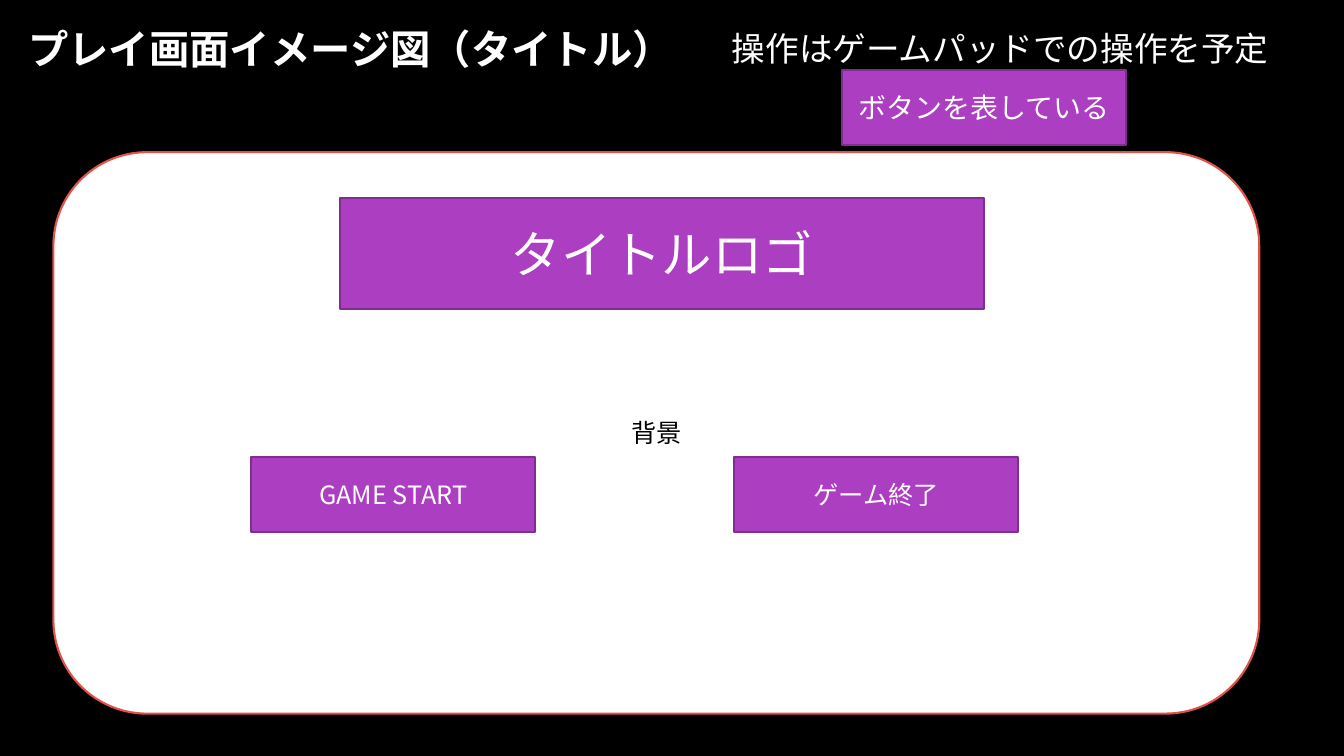
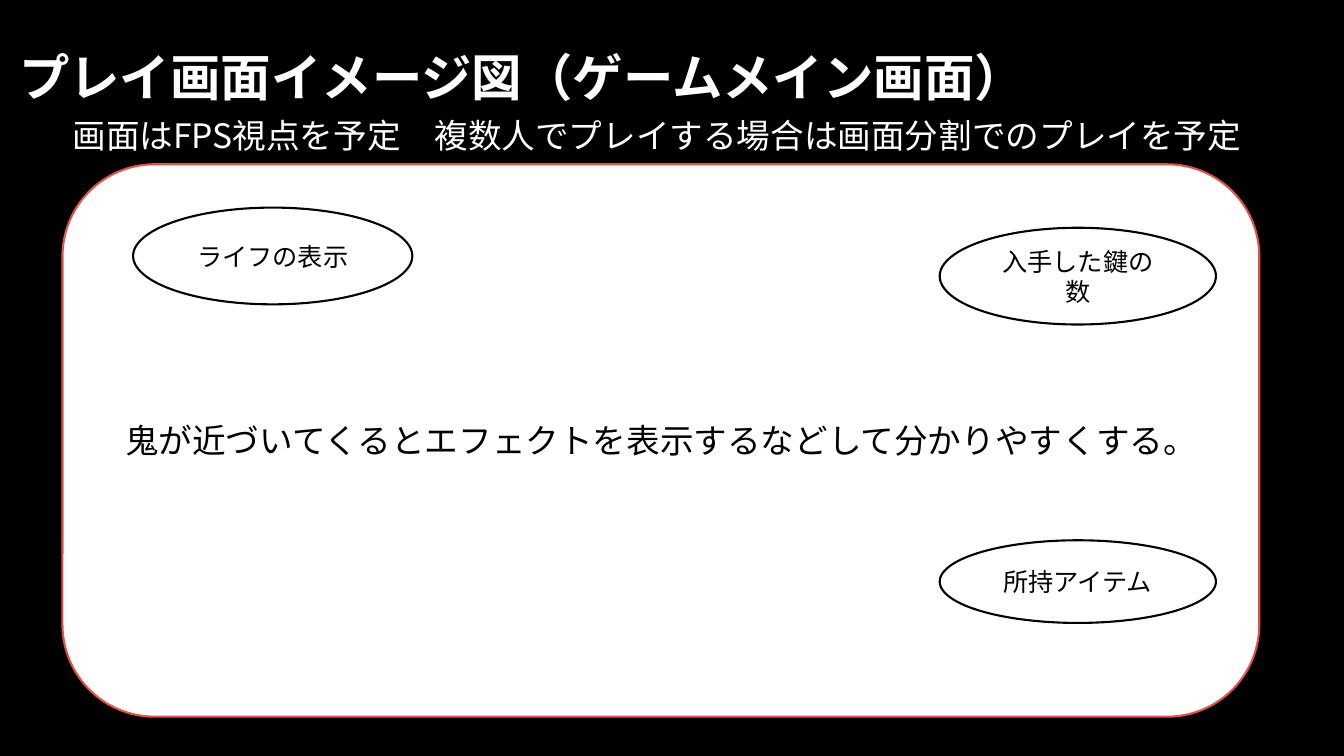
from dataclasses import dataclass

from lxml import etree
from pptx import Presentation
from pptx.dml.color import RGBColor
from pptx.enum.shapes import MSO_SHAPE
from pptx.enum.text import MSO_ANCHOR, MSO_AUTO_SIZE, PP_ALIGN
from pptx.oxml.ns import qn
from pptx.slide import Slide
from pptx.text.text import TextFrame
from pptx.util import Inches, Pt

RECT = MSO_SHAPE.RECTANGLE
ROUND_RECT = MSO_SHAPE.ROUNDED_RECTANGLE
ELLIPSE = MSO_SHAPE.OVAL
MIDDLE = MSO_ANCHOR.MIDDLE
TOP = MSO_ANCHOR.TOP
NO_FIT = MSO_AUTO_SIZE.NONE
GROW = MSO_AUTO_SIZE.SHAPE_TO_FIT_TEXT
LEFT = PP_ALIGN.LEFT
CENTER = PP_ALIGN.CENTER

BLACK = RGBColor(0x00, 0x00, 0x00)
WHITE = RGBColor(0xFF, 0xFF, 0xFF)
RED = RGBColor(0xE2, 0x52, 0x47)
PURPLE = RGBColor(0xAC, 0x3E, 0xC1)
DARK_PURPLE = RGBColor(0x7F, 0x2E, 0x8F)

JP_FONT = "Noto Sans CJK JP"
LATIN_FONT = "Calibri"
TITLE_ONLY = 5
BUTTON_W, BUTTON_H = 2.82, 0.75
BUTTON_ROW = 4.53
HUD_LEFT, HUD_W = 9.32, 2.74


@dataclass(frozen=True)
class Box:
    left: float
    top: float
    width: float
    height: float

    def lengths(self) -> tuple[Inches, Inches, Inches, Inches]:
        return (Inches(self.left), Inches(self.top),
                Inches(self.width), Inches(self.height))


@dataclass(frozen=True)
class Style:
    shape: MSO_SHAPE
    fill: RGBColor
    line: RGBColor
    color: RGBColor
    font: str = JP_FONT


@dataclass(frozen=True)
class Label:
    text: str
    box: Box
    size: float = 18


@dataclass(frozen=True)
class Widget:
    label: Label
    style: Style


@dataclass(frozen=True)
class Screen:
    title: Label
    note: Label
    widgets: list[Widget]


PANEL = Style(ROUND_RECT, WHITE, RED, BLACK)
PANEL_LATIN = Style(ROUND_RECT, WHITE, RED, BLACK, LATIN_FONT)
BUTTON = Style(RECT, PURPLE, DARK_PURPLE, WHITE)
HUD = Style(ELLIPSE, WHITE, BLACK, BLACK, LATIN_FONT)

SCREENS = [
    Screen(
        Label("プレイ画面イメージ図（タイトル）", Box(0.18, 0.16, 7.03, 0.64), 28.8),
        Label("操作はゲームパッドでの操作を予定", Box(7.16, 0.23, 5.59, 0.5), 24),
        [
            Widget(Label("背景", Box(0.53, 1.51, 11.96, 5.57)), PANEL_LATIN),
            Widget(Label("タイトルロゴ", Box(3.37, 1.96, 6.39, 1.11), 36), BUTTON),
            Widget(Label("GAME START", Box(2.49, BUTTON_ROW, BUTTON_W, BUTTON_H)), BUTTON),
            Widget(Label("ゲーム終了", Box(7.28, BUTTON_ROW, BUTTON_W, BUTTON_H)), BUTTON),
            Widget(Label("ボタンを表している", Box(8.35, 0.69, BUTTON_W, BUTTON_H), 20), BUTTON),
        ],
    ),
    Screen(
        Label("プレイ画面イメージ図（ゲームメイン画面）", Box(0.09, 0.17, 10.36, 1.17), 36),
        Label("画面はFPS視点を予定　複数人でプレイする場合は画面分割でのプレイを予定",
              Box(0.62, 1.09, 12.25, 0.5), 24),
        [
            Widget(Label("鬼が近づいてくるとエフェクトを表示するなどして分かりやすくする。",
                         Box(0.62, 1.63, 11.87, 5.48), 24), PANEL),
            Widget(Label("ライフの表示", Box(1.32, 2.06, 2.77, 0.96)), HUD),
            Widget(Label("入手した鍵の数", Box(HUD_LEFT, 2.26, HUD_W, 0.96)), HUD),
            Widget(Label("所持アイテム", Box(HUD_LEFT, 5.36, HUD_W, 0.82)), HUD),
        ],
    ),
]


def write(tf: TextFrame, label: Label, color: RGBColor, align: PP_ALIGN,
          anchor: MSO_ANCHOR = MIDDLE, font: str = JP_FONT, bold: bool = False) -> None:
    tf.vertical_anchor = anchor
    p = tf.paragraphs[0]
    p.alignment = align
    r = p.add_run()
    r.text = label.text
    r.font.size = Pt(label.size)
    r.font.bold = bold
    r.font.color.rgb = color
    r.font.name = font
    east_asian = etree.SubElement(r._r.get_or_add_rPr(), qn("a:ea"))
    east_asian.set("typeface", JP_FONT)


def add_title(s: Slide, label: Label) -> None:
    sp = s.shapes.title
    sp.left, sp.top, sp.width, sp.height = label.box.lengths()
    tf = sp.text_frame
    tf.word_wrap = True
    tf.auto_size = NO_FIT
    write(tf, label, WHITE, LEFT, bold=True)


def add_note(s: Slide, label: Label) -> None:
    tf = s.shapes.add_textbox(*label.box.lengths()).text_frame
    tf.word_wrap = False
    tf.auto_size = GROW
    write(tf, label, WHITE, LEFT, TOP)


def add_widget(s: Slide, widget: Widget) -> None:
    style = widget.style
    sp = s.shapes.add_shape(style.shape, *widget.label.box.lengths())
    sp.shadow.inherit = False
    sp.fill.solid()
    sp.fill.fore_color.rgb = style.fill
    sp.line.color.rgb = style.line
    sp.line.width = Pt(1.5)
    tf = sp.text_frame
    tf.word_wrap = True
    write(tf, widget.label, style.color, CENTER, font=style.font)


def main() -> None:
    prs = Presentation()
    prs.slide_width, prs.slide_height = Inches(13.33), Inches(7.5)
    background = prs.slide_master.background.fill
    background.solid()
    background.fore_color.rgb = BLACK
    for screen in SCREENS:
        s = prs.slides.add_slide(prs.slide_layouts[TITLE_ONLY])
        add_title(s, screen.title)
        for widget in screen.widgets:
            add_widget(s, widget)
        add_note(s, screen.note)
    prs.save("out.pptx")


if __name__ == "__main__":
    main()
